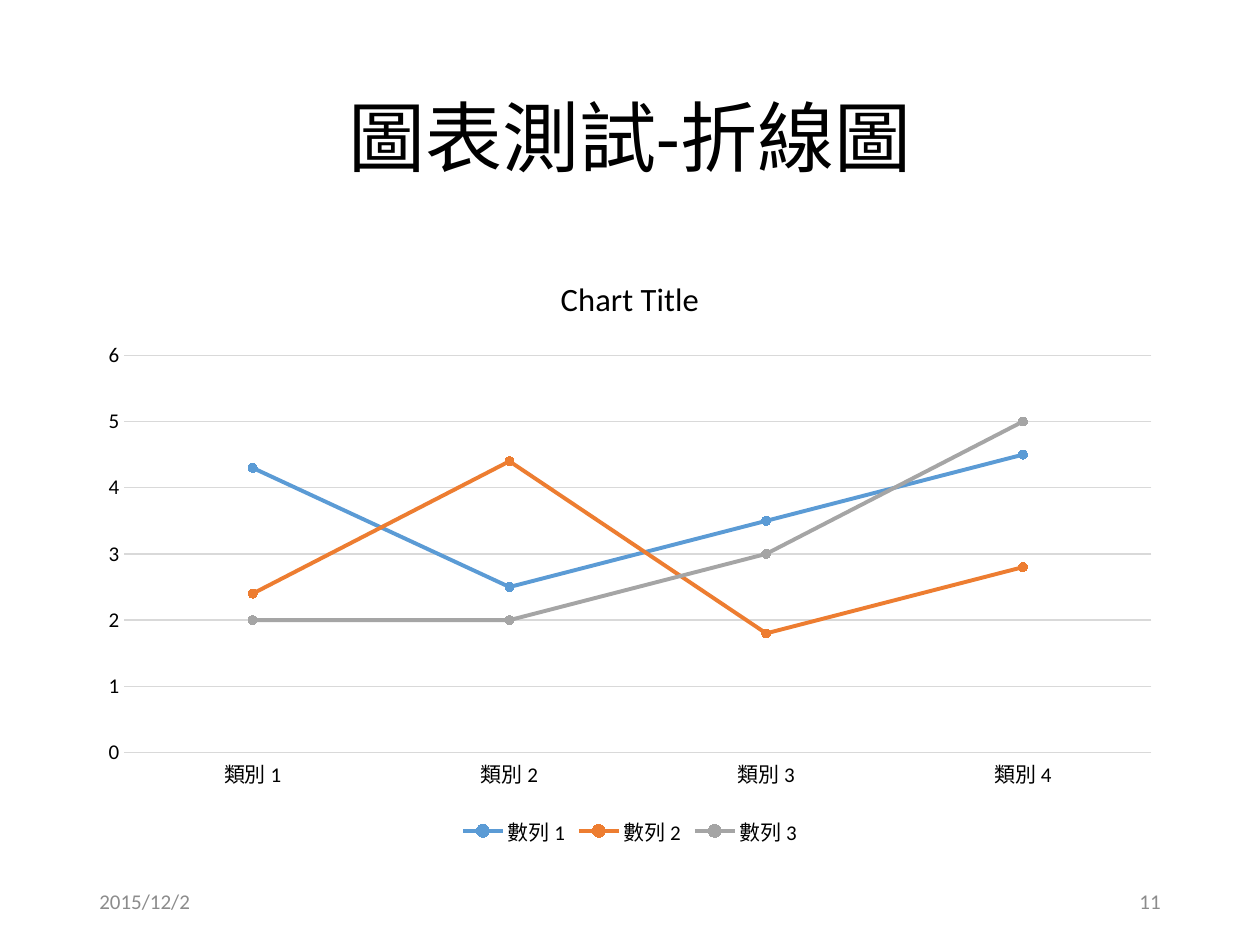
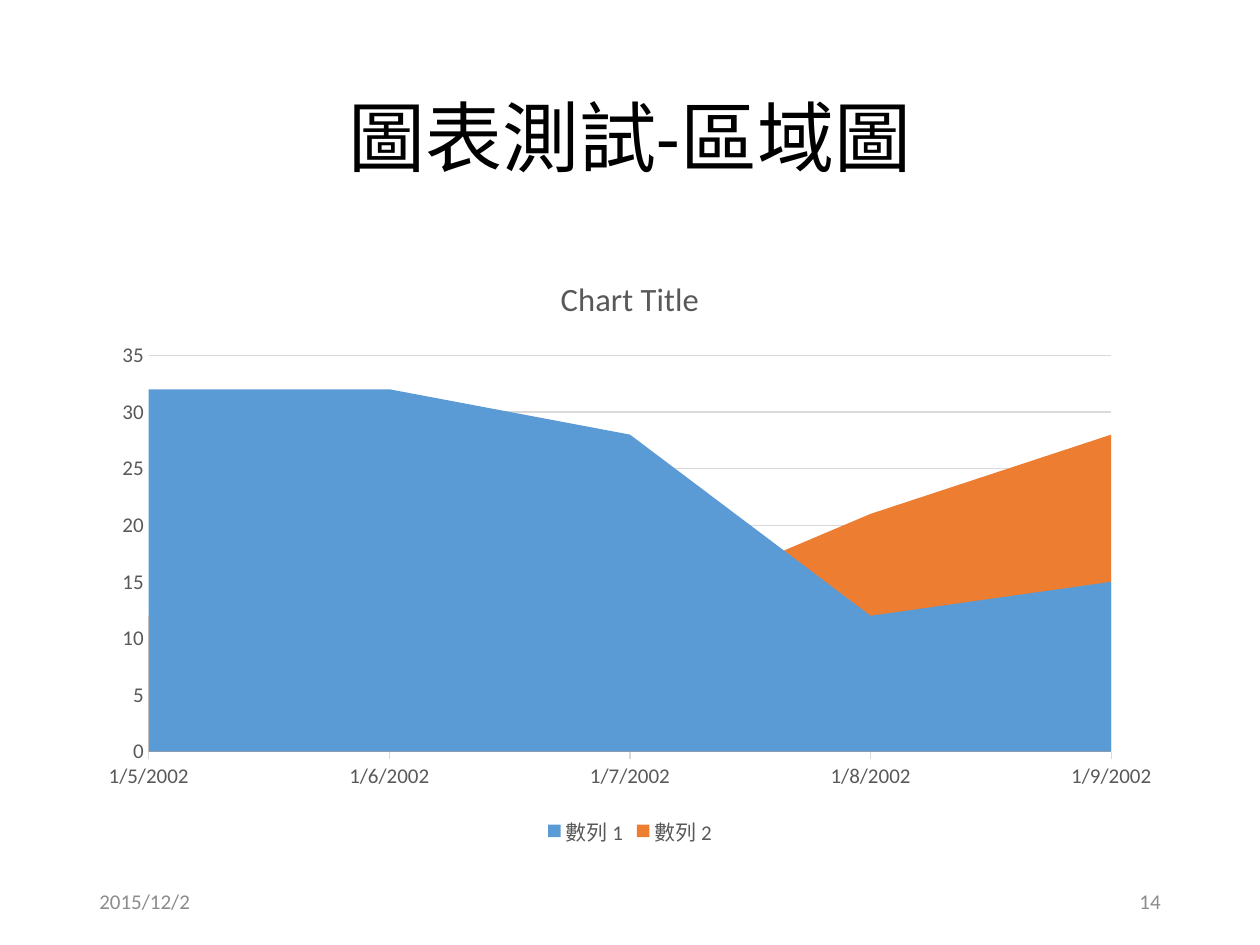
from pptx import Presentation
from pptx.chart.data import CategoryChartData
from pptx.dml.color import RGBColor
from pptx.enum.chart import XL_CHART_TYPE as Chart
from pptx.enum.chart import XL_LEGEND_POSITION as LegendPos
from pptx.enum.chart import XL_MARKER_STYLE as Marker
from pptx.enum.chart import XL_TICK_MARK as Tick
from pptx.enum.text import MSO_ANCHOR as Anchor
from pptx.enum.text import PP_ALIGN as Align
from pptx.util import Inches, Pt

COLORS = {
    "black": "000000",
    "gray": "595959",
    "footer": "8C8C8C",
    "grid": "D9D9D9",
    "blue": "5B9BD5",
    "orange": "ED7D31",
    "silver": "A5A5A5",
}
SERIES_COLORS = ("blue", "orange", "silver")
FONT = "Calibri"
LEFT, WIDTH = 0.69, 8.62
FOOTER_WIDTH = 2.25


class Deck:
    def __init__(self):
        self.presentation = Presentation()
        self.presentation.slide_width = Inches(10)
        self.presentation.slide_height = Inches(7.5)
        self.slide = None

    def color(self, name):
        return RGBColor.from_string(COLORS[name])

    def style_font(self, font, size, color):
        font.name = FONT
        font.size = Pt(size)
        font.bold = False
        font.color.rgb = self.color(color)

    def style_line(self, line, color, width):
        line.color.rgb = self.color(color)
        line.width = Pt(width)

    def fill(self, fmt, color):
        fmt.fill.solid()
        fmt.fill.fore_color.rgb = self.color(color)

    def add_text(self, frame, text, size, color, align):
        frame.word_wrap = True
        frame.vertical_anchor = Anchor.MIDDLE
        paragraph = frame.paragraphs[0]
        paragraph.alignment = align
        run = paragraph.add_run()
        run.text = text
        self.style_font(run.font, size, color)
        return paragraph

    def add_slide(self, heading, number):
        layout = self.presentation.slide_layouts.get_by_name("Title Only")
        self.slide = self.presentation.slides.add_slide(layout)
        self.add_title(heading)
        self.add_footer("2015/12/2", LEFT, Align.LEFT)
        self.add_footer(number, LEFT + WIDTH - FOOTER_WIDTH, Align.RIGHT)

    def add_title(self, heading):
        title = self.slide.shapes.title
        title.left, title.top = Inches(LEFT), Inches(0.4)
        title.width, title.height = Inches(WIDTH), Inches(1.45)
        line = self.add_text(title.text_frame, heading, 44, "black", Align.CENTER)
        line.line_spacing = 0.9

    def add_footer(self, text, left, align):
        footer = self.slide.shapes.add_textbox(
            Inches(left), Inches(6.95), Inches(FOOTER_WIDTH), Inches(0.4))
        self.add_text(footer.text_frame, text, 12, "footer", align)

    def add_chart(self, kind, categories, series, text_color, top_value, step, category_tick):
        data = CategoryChartData()
        data.categories = categories
        for name, values in series.items():
            data.add_series(name, values)
        chart = self.slide.shapes.add_chart(
            kind, Inches(LEFT), Inches(2), Inches(WIDTH), Inches(4.76), data).chart
        self.style_font(chart.font, 10, "black")
        self.add_chart_title(chart, text_color)
        self.style_axes(chart, text_color, top_value, step, category_tick)
        chart.has_legend = True
        chart.legend.position = LegendPos.BOTTOM
        chart.legend.include_in_layout = False
        self.style_font(chart.legend.font, 12, text_color)
        chart.plots[0].vary_by_categories = False
        for plotted, color in zip(chart.plots[0].series, SERIES_COLORS):
            if kind == Chart.LINE_MARKERS:
                self.style_line_series(plotted, color)
            else:
                self.fill(plotted.format, color)

    def add_chart_title(self, chart, text_color):
        chart.has_title = True
        chart.chart_title.include_in_layout = False
        run = chart.chart_title.text_frame.paragraphs[0].add_run()
        run.text = "Chart Title"
        self.style_font(run.font, 18.6, text_color)

    def style_axes(self, chart, text_color, top_value, step, category_tick):
        for axis in (chart.category_axis, chart.value_axis):
            axis.major_tick_mark = axis.minor_tick_mark = Tick.NONE
            self.style_font(axis.tick_labels.font, 12, text_color)
        chart.category_axis.major_tick_mark = category_tick
        chart.category_axis.has_major_gridlines = False
        self.style_line(chart.category_axis.format.line, "grid", 0.75)
        values = chart.value_axis
        values.minimum_scale, values.maximum_scale = 0, top_value
        values.major_unit = step
        values.format.line.fill.background()
        values.has_major_gridlines = True
        self.style_line(values.major_gridlines.format.line, "grid", 0.75)

    def style_line_series(self, series, color):
        series.smooth = False
        self.style_line(series.format.line, color, 2.25)
        series.marker.style = Marker.CIRCLE
        series.marker.size = 5
        self.fill(series.marker.format, color)
        self.style_line(series.marker.format.line, color, 0.75)


def main():
    deck = Deck()

    deck.add_slide("圖表測試-折線圖", "11")
    deck.add_chart(
        Chart.LINE_MARKERS,
        [f"類別 {n}" for n in range(1, 5)],
        {
            "數列 1": (4.3, 2.5, 3.5, 4.5),
            "數列 2": (2.4, 4.4, 1.8, 2.8),
            "數列 3": (2, 2, 3, 5),
        },
        "black", 6, 1, Tick.NONE)

    deck.add_slide("圖表測試-區域圖", "14")
    deck.add_chart(
        Chart.AREA,
        [f"1/{day}/2002" for day in range(5, 10)],
        {
            "數列 1": (32, 32, 28, 12, 15),
            "數列 2": (12, 12, 12, 21, 28),
        },
        "gray", 35, 5, Tick.OUTSIDE)

    deck.presentation.save("out.pptx")


if __name__ == "__main__":
    main()
